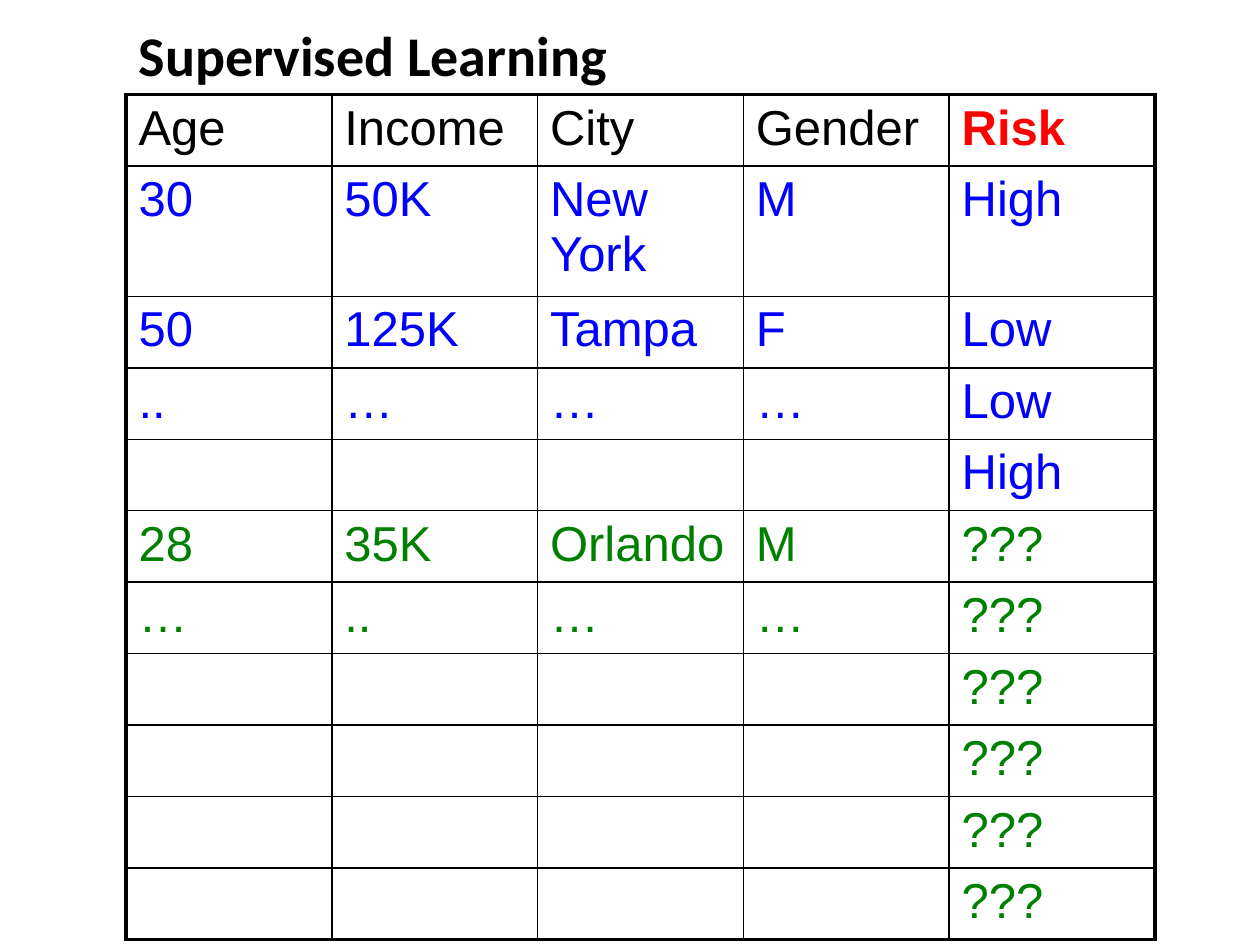
from lxml.etree import SubElement
from pptx import Presentation
from pptx.dml.color import RGBColor
from pptx.enum.text import MSO_ANCHOR as Anchor, MSO_AUTO_SIZE as AutoSize, PP_ALIGN as Align
from pptx.oxml.ns import qn
from pptx.util import Pt

BLACK = RGBColor(0, 0, 0)
RED = RGBColor(255, 0, 0)
BLUE = RGBColor(0, 0, 255)
GREEN = RGBColor(0, 128, 0)

HEADER = ["Age", "Income", "City", "Gender", "Risk"]
LABELLED = [
    ["30", "50K", "New York", "M", "High"],
    ["50", "125K", "Tampa", "F", "Low"],
    ["..", "…", "…", "…", "Low"],
    ["", "", "", "", "High"],
]
UNLABELLED = [
    ["28", "35K", "Orlando", "M", "???"],
    ["…", "..", "…", "…", "???"],
] + [["", "", "", "", "???"]] * 4

COLUMN_WIDTH = 117.6
ROW_HEIGHT = 40.8
TWO_LINE_HEIGHT = 74.2


class SlideBuilder:
    title_font = {"name": "Calibri", "size": Pt(32), "bold": True}
    cell_font = {"name": "Arial", "size": Pt(28), "bold": False}
    outer_line, inner_line = 2.25, 1

    def __init__(self, slide):
        self.slide = slide

    def style(self, font, values, color):
        for name, value in values.items():
            setattr(font, name, value)
        font.color.rgb = color

    def title(self, text, left, top, width, height):
        title = self.slide.shapes.title
        title.left, title.top, title.width, title.height = map(Pt, (left, top, width, height))
        frame = title.text_frame
        frame.text = text
        frame.word_wrap = False
        frame.auto_size = AutoSize.SHAPE_TO_FIT_TEXT
        frame.vertical_anchor = Anchor.TOP
        heading = frame.paragraphs[0]
        heading.alignment = Align.LEFT
        self.style(heading.runs[0].font, self.title_font, BLACK)

    def table(self, rows, colors, heights, left, top):
        """Draw a plain grid with a heavier outer frame; colors holds one colour per row."""
        last_row, last_column = len(rows) - 1, len(rows[0]) - 1
        table = self.slide.shapes.add_table(
            len(rows), len(rows[0]), Pt(left), Pt(top),
            Pt(COLUMN_WIDTH * len(rows[0])), Pt(sum(heights))).table
        table.first_row = table.horz_banding = False
        for column in table.columns:
            column.width = Pt(COLUMN_WIDTH)
        for r, (texts, color) in enumerate(zip(rows, colors)):
            table.rows[r].height = Pt(heights[r])
            for c, text in enumerate(texts):
                cell = table.cell(r, c)
                self.borders(cell, {"L": c == 0, "R": c == last_column,
                                    "T": r == 0, "B": r == last_row})
                cell.fill.background()
                if text:
                    self.cell_text(cell, text, color)
        return table

    def cell_text(self, cell, text, color):
        cell.text = text
        paragraph = cell.text_frame.paragraphs[0]
        self.style(paragraph.runs[0].font, self.cell_font, color)
        # Space before as a share of the line, which python-pptx cannot set
        before = SubElement(paragraph._p.get_or_add_pPr(), qn("a:spcBef"))
        SubElement(before, qn("a:spcPct"), val="20000")

    def borders(self, cell, is_outer):
        properties = cell._tc.get_or_add_tcPr()
        for side, outer in is_outer.items():
            width = Pt(self.outer_line if outer else self.inner_line)
            line = SubElement(properties, qn(f"a:ln{side}"), w=str(width))
            fill = SubElement(line, qn("a:solidFill"))
            SubElement(fill, qn("a:srgbClr"), val=str(BLACK))


def main():
    deck = Presentation()
    deck.slide_width, deck.slide_height = Pt(720), Pt(540)
    builder = SlideBuilder(deck.slides.add_slide(deck.slide_layouts[5]))

    rows = [HEADER] + LABELLED + UNLABELLED
    colors = [BLACK] + [BLUE] * len(LABELLED) + [GREEN] * len(UNLABELLED)
    heights = [TWO_LINE_HEIGHT if "New York" in row else ROW_HEIGHT for row in rows]
    customers = builder.table(rows, colors, heights, 72, 54)
    risk = customers.cell(0, HEADER.index("Risk")).text_frame.paragraphs[0].runs[0]
    builder.style(risk.font, {"bold": True}, RED)

    builder.title("Supervised Learning", 72, 8, 284.4, 46)
    deck.save("out.pptx")


if __name__ == "__main__":
    main()
